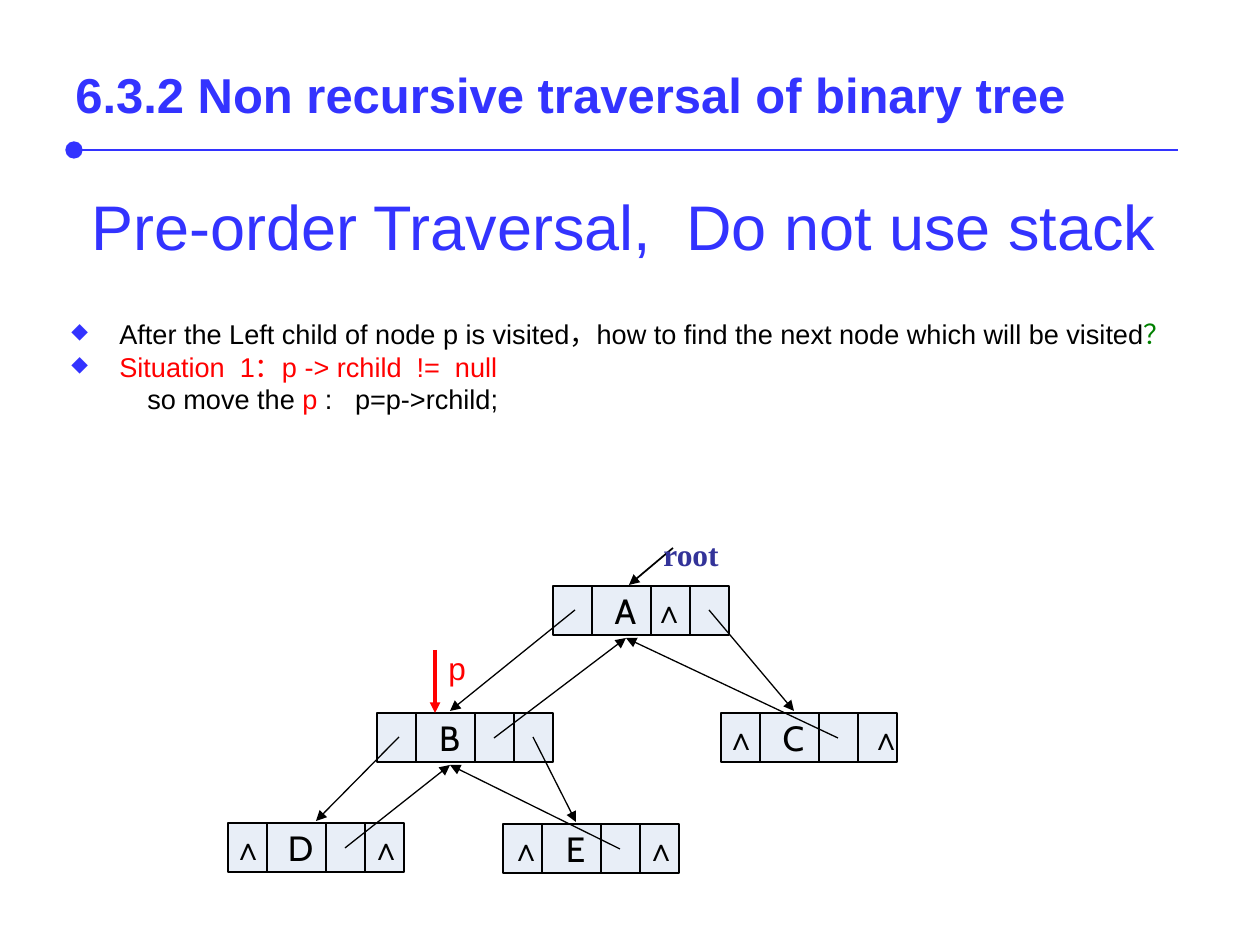
from dataclasses import dataclass

from lxml import etree
from pptx import Presentation
from pptx.dml.color import RGBColor
from pptx.enum.shapes import MSO_CONNECTOR, MSO_SHAPE
from pptx.enum.text import MSO_ANCHOR, PP_ALIGN
from pptx.oxml.ns import qn
from pptx.util import Pt

LINE = MSO_CONNECTOR.STRAIGHT
RECTANGLE = MSO_SHAPE.RECTANGLE
LEFT, CENTER, JUSTIFY = PP_ALIGN.LEFT, PP_ALIGN.CENTER, PP_ALIGN.JUSTIFY
TOP, MIDDLE = MSO_ANCHOR.TOP, MSO_ANCHOR.MIDDLE

EMU_PER_PX = 914400 / 126
BLUE, RED, GREEN, BLACK = "3333FF", "FF0000", "008000", "000000"
ROOT_BLUE, NODE_FILL = "333399", "E8EEF7"
LATIN, CJK, LETTER, SERIF = "Arial", "Noto Sans CJK SC", "Cabin", "Times New Roman"

NODE_WIDTH, NODE_HEIGHT = 176, 49
DIVIDERS = (39, 98, 137)
# Starting points of the links, relative to the node's top left corner
LEFT_LINK, PARENT_LINK, RIGHT_LINK = (22, 24), (117, 25), (156, 24)
MIDDLE_X = 73


@dataclass
class Node:
    letter: str
    x: int
    y: int
    null_marks: tuple  # left edges of the null signs, relative to x
    entry_x: int = MIDDLE_X

    def start(self, link):
        return self.x + link[0], self.y + link[1]

    def entry(self):
        return self.x + self.entry_x, self.y - 2

    def underside(self):
        return self.x + MIDDLE_X, self.y + 52


def px(length):
    return round(length * EMU_PER_PX)


def color(hex_code):
    return RGBColor.from_string(hex_code)


def style_run(run, size, hex_code, font=LATIN, bold=False):
    run.font.size = Pt(size)
    run.font.name = font
    run.font.bold = bold
    run.font.color.rgb = color(hex_code)


def add_frame(slide, left, top, width, height, wrap=True, anchor=TOP):
    frame = slide.shapes.add_textbox(px(left), px(top), px(width), px(height)).text_frame
    frame.word_wrap = wrap
    frame.vertical_anchor = anchor
    return frame


def add_label(slide, text, box, size, hex_code, font=LATIN, bold=False,
              align=LEFT, wrap=False, anchor=TOP):
    frame = add_frame(slide, *box, wrap=wrap, anchor=anchor)
    frame.text = text
    paragraph = frame.paragraphs[0]
    paragraph.alignment = align
    style_run(paragraph.runs[0], size, hex_code, font, bold)


def add_line(slide, start, end, hex_code=BLACK, width=0.75, head=None, tail=None):
    """Draw a line; head and tail are (type, size) of the ends at start and end."""
    line = slide.shapes.add_connector(LINE, *map(px, (*start, *end)))
    line.line.color.rgb = color(hex_code)
    line.line.width = Pt(width)
    outline = line.line._get_or_add_ln()
    for tag, ending in (("a:headEnd", head), ("a:tailEnd", tail)):
        if ending:
            kind, size = ending
            etree.SubElement(outline, qn(tag), type=kind, w=size, len=size)
    etree.SubElement(line._element.spPr, qn("a:effectLst"))


def add_arrow(slide, start, end, hex_code=BLACK, width=0.75):
    add_line(slide, start, end, hex_code, width, tail=("triangle", "med"))


def indent(paragraph, margin, first_line, bullet=False):
    properties = paragraph._p.get_or_add_pPr()
    properties.set("marL", str(px(margin)))
    properties.set("indent", str(px(first_line)))
    if bullet:
        bullet_color = etree.SubElement(properties, qn("a:buClr"))
        etree.SubElement(bullet_color, qn("a:srgbClr"), val=BLUE)
        etree.SubElement(properties, qn("a:buSzPct"), val="80000")
        etree.SubElement(properties, qn("a:buChar"), char="◆")


def add_explanation(slide):
    question = [("After the Left child of node p is visited，how to find the next node "
                 "which will be visited", BLACK, LATIN), ("？", GREEN, CJK)]
    situation = [("Situation  1：p -> rchild  !=  null", RED, LATIN)]
    move = [("so move the ", BLACK, LATIN), ("p", RED, LATIN),
            (" :   p=p->rchild;", BLACK, LATIN)]
    items = [(question, JUSTIFY, 48, -48, True),
             (situation, LEFT, 48, -48, True),
             (move, LEFT, 76, 0, False)]
    frame = add_frame(slide, 59, 311, 1134, 188)
    for number, (parts, align, margin, first_line, bullet) in enumerate(items):
        paragraph = frame.add_paragraph() if number else frame.paragraphs[0]
        paragraph.alignment = align
        paragraph.line_spacing = Pt(18.7)
        indent(paragraph, margin, first_line, bullet)
        for text, hex_code, font in parts:
            run = paragraph.add_run()
            run.text = text
            style_run(run, 15.5, hex_code, font)
            etree.SubElement(run.font._element, qn("a:ea"), typeface=CJK)


def add_node(slide, node):
    cell_row = slide.shapes.add_shape(
        RECTANGLE, *map(px, (node.x, node.y, NODE_WIDTH, NODE_HEIGHT)))
    cell_row.shadow.inherit = False
    cell_row.fill.solid()
    cell_row.fill.fore_color.rgb = color(NODE_FILL)
    cell_row.line.color.rgb = color(BLACK)
    cell_row.line.width = Pt(1.5)
    for offset in DIVIDERS:
        x = node.x + offset
        add_line(slide, (x, node.y), (x, node.y + NODE_HEIGHT))
    add_label(slide, node.letter, (node.x + 43, node.y - 3, 59, 55), 20, BLACK,
              LETTER, align=CENTER, wrap=True)
    for offset in node.null_marks:
        add_label(slide, "∧", (node.x + offset, node.y, 57, 50), 18, BLACK, bold=True)


def add_tree(slide):
    a = Node("A", 553, 586, (88,))
    b = Node("B", 377, 713, ())
    c = Node("C", 721, 713, (-8, 137))
    d = Node("D", 228, 823, (-8, 130), entry_x=88)
    e = Node("E", 503, 824, (-5, 130))
    for node in (a, b, c, d, e):
        add_node(slide, node)
    for parent, child, link in ((a, b, LEFT_LINK), (a, c, RIGHT_LINK),
                                (b, d, LEFT_LINK), (b, e, RIGHT_LINK)):
        add_arrow(slide, parent.start(link), child.entry())
        add_arrow(slide, child.start(PARENT_LINK), parent.underside())

    add_arrow(slide, (673, 548), (629, 585), width=1)
    add_label(slide, "root", (651, 529, 81, 50), 18, ROOT_BLUE, SERIF, bold=True)
    add_arrow(slide, (435, 650), (435, 713), RED, 2)
    add_label(slide, "p", (436, 643, 43, 50), 18, RED)


def main():
    deck = Presentation()
    deck.slide_width, deck.slide_height = px(1260), px(945)
    slide = deck.slides.add_slide(deck.slide_layouts[6])
    add_line(slide, (74, 150), (1178, 150), BLUE, 1.5, head=("oval", "lg"))
    add_label(slide, "6.3.2 Non recursive traversal of binary tree",
              (63, 38, 1134, 111), 28, BLUE, bold=True, wrap=True, anchor=MIDDLE)
    add_label(slide, "Pre-order Traversal,  Do not use stack",
              (79, 181, 1123, 88), 36, BLUE, wrap=True)
    add_explanation(slide)
    add_tree(slide)
    deck.save("out.pptx")


if __name__ == "__main__":
    main()
